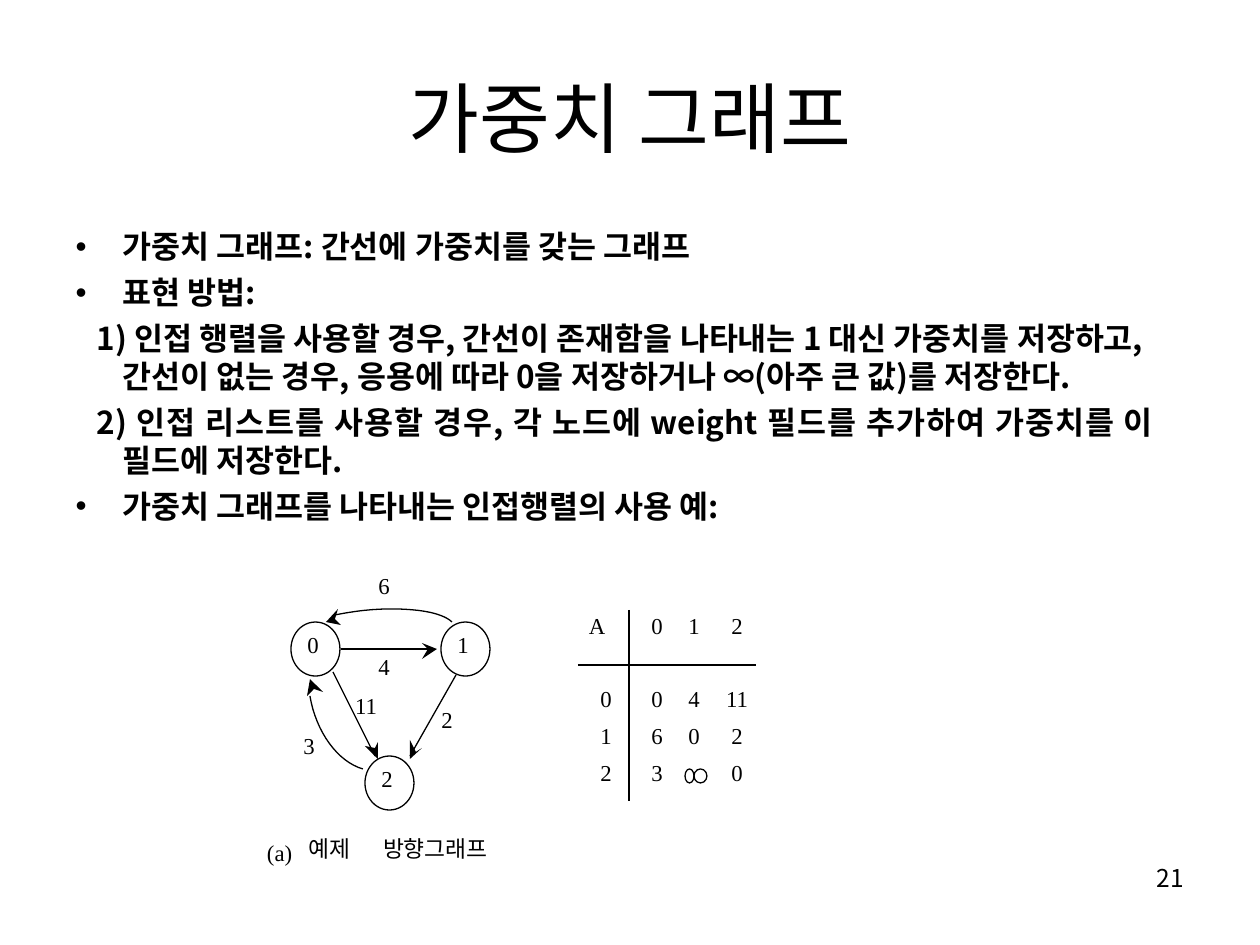
from lxml.etree import SubElement
from pptx import Presentation
from pptx.dml.color import RGBColor
from pptx.enum.shapes import MSO_CONNECTOR, MSO_SHAPE
from pptx.enum.text import MSO_ANCHOR, MSO_AUTO_SIZE, PP_ALIGN
from pptx.oxml.ns import qn
from pptx.util import Pt

SCALE = 914400 / 126
HUES = {"ink": "000000", "page": "FFFFFF"}
SANS, SERIF = "Noto Sans CJK KR", "Times New Roman"


def assign(item, form):
    for name, value in form.items():
        setattr(item, name, value)


def curve(start, *parts, steps=16):
    dots = [start]
    for one, two, end in parts:
        first = dots[-1]
        for step in range(1, steps + 1):
            t = step / steps
            u = 1 - t
            dots.append(tuple(
                u**3 * a + 3 * u * u * t * b + 3 * u * t * t * c + t**3 * d
                for a, b, c, d in zip(first, one, two, end)))
    return dots


class Sketch:
    """Draw the parts of one slide in a shared style, with lengths in px."""

    def __init__(self, deck):
        self.slide = deck.slides.add_slide(deck.slide_layouts[1])
        self.shapes = self.slide.shapes
        self.ink = RGBColor.from_string(HUES["ink"])
        back = self.slide.background.fill
        back.solid()
        back.fore_color.rgb = RGBColor.from_string(HUES["page"])

    def px(self, *sizes):
        return [round(size * SCALE) for size in sizes]

    def place(self, shape, *area):
        names = ("left", "top", "width", "height")
        assign(shape, dict(zip(names, self.px(*area))))

    def words(self, para, text, size, face, bold=False):
        run = para.add_run()
        run.text = text
        assign(run.font, {"size": Pt(size), "name": face, "bold": bold})
        run.font.color.rgb = self.ink
        SubElement(run.font._element, qn("a:ea"), typeface=face)

    def title(self, text, area):
        shape = self.shapes.title
        self.place(shape, *area)
        frame = shape.text_frame
        assign(frame, {"vertical_anchor": MSO_ANCHOR.MIDDLE,
                       "auto_size": MSO_AUTO_SIZE.NONE})
        frame.paragraphs[0].alignment = PP_ALIGN.CENTER
        self.words(frame.paragraphs[0], text, 44, SANS)

    def body(self, items, area):
        shape = self.slide.placeholders[1]
        self.place(shape, *area)
        frame = shape.text_frame
        frame.auto_size = MSO_AUTO_SIZE.NONE
        for rank, (dot, align, text) in enumerate(items):
            para = frame.add_paragraph() if rank else frame.paragraphs[0]
            assign(para, {"alignment": align, "line_spacing": Pt(21.7),
                          "space_before": Pt(4.5 if rank else 0)})
            props = para._p.get_or_add_pPr()
            left, hang = self.px(47, -47 if dot else -26)
            props.set("marL", str(left))
            props.set("indent", str(hang))
            if dot:
                SubElement(props, qn("a:buChar"), char="•")
            else:
                SubElement(props, qn("a:buNone"))
            self.words(para, text, 18, SANS, True)

    def label(self, text, area, align=PP_ALIGN.CENTER, size=13, face=SERIF):
        frame = self.shapes.add_textbox(*self.px(*area)).text_frame
        assign(frame, {"margin_left": 0, "margin_right": 0, "margin_top": 0,
                       "margin_bottom": 0, "word_wrap": False})
        frame.paragraphs[0].alignment = align
        self.words(frame.paragraphs[0], text, size, face)

    def mark(self, text, mid, top):
        self.label(text, (mid - 12, top, 24, 28))

    def trim(self, shape, solid=False):
        shape.shadow.inherit = False
        if solid:
            shape.fill.solid()
            shape.fill.fore_color.rgb = self.ink
            shape.line.fill.background()
        else:
            shape.fill.background()
            self.stroke(shape)

    def stroke(self, shape):
        shape.line.color.rgb = self.ink
        shape.line.width = Pt(0.75)

    def ring(self, *area):
        self.trim(self.shapes.add_shape(MSO_SHAPE.OVAL, *self.px(*area)))

    def line(self, *ends):
        link = self.shapes.add_connector(MSO_CONNECTOR.STRAIGHT, *self.px(*ends))
        self.stroke(link)
        SubElement(link._element.spPr, qn("a:effectLst"))

    def free(self, dots, solid=False):
        start, *rest = [self.px(*dot) for dot in dots]
        pen = self.shapes.build_freeform(*start)
        pen.add_line_segments(rest, close=solid)
        self.trim(pen.convert_to_shape(), solid)


def main():
    deck = Presentation()
    deck.slide_width, deck.slide_height = round(1260 * SCALE), round(945 * SCALE)
    art = Sketch(deck)
    left, full = PP_ALIGN.LEFT, PP_ALIGN.JUSTIFY

    art.title("가중치 그래프", (63, 38, 1134, 157))
    art.body([
        (True, left, "가중치 그래프: 간선에 가중치를 갖는 그래프"),
        (True, left, "표현 방법:"),
        (False, left, "1) 인접 행렬을 사용할 경우, 간선이 존재함을 나타내는 1 대신 "
         "가중치를 저장하고, 간선이 없는 경우, 응용에 따라 0을 저장하거나 "
         "∞(아주 큰 값)를 저장한다."),
        (False, full, "2) 인접 리스트를 사용할 경우, 각 노드에 weight 필드를 "
         "추가하여 가중치를 이 필드에 저장한다."),
        (True, full, "가중치 그래프를 나타내는 인접행렬의 사용 예:"),
    ], (63, 221, 1103, 624))
    art.label("21", (903, 863, 281, 40), PP_ALIGN.RIGHT, 14, SANS)

    for node, (x, y) in enumerate([(291, 622), (441, 622), (365, 756)]):
        art.ring(x, y, 49, 54)
        art.mark(str(node), x + 22, y + 9)

    for ends in [(341, 649, 435, 649), (333, 672, 375, 756), (456, 675, 410, 756)]:
        art.line(*ends)
    art.free(curve((335, 615), ((350, 612), (369, 609), (391, 609)),
                   ((416, 609), (441, 612), (452, 622))))
    art.free(curve((363, 769), ((338, 762), (316, 732), (310, 696))))
    for head in [
        [(422, 659), (437, 649), (422, 643), (428, 649)],
        [(365, 746), (378, 759), (378, 742), (375, 748)],
        [(410, 740), (410, 759), (422, 748), (416, 752)],
        [(338, 609), (326, 622), (341, 625), (335, 619)],
        [(323, 692), (310, 679), (307, 696), (314, 689)],
    ]:
        art.free(head, True)
    for cost, mid, top in [("6", 384, 572), ("4", 384, 653), ("3", 309, 732),
                           ("11", 366, 692), ("2", 447, 706)]:
        art.mark(cost, mid, top)

    cols = (657, 694, 737)
    art.mark("A", 597, 612)
    for node, mid in enumerate(cols):
        art.mark(str(node), mid, 612)
    for node, costs in enumerate([(0, 4, 11), (6, 0, 2), (3, None, 0)]):
        top = 685 + 37 * node
        art.mark(str(node), 606, top)
        for mid, cost in zip(cols, costs):
            if cost is not None:
                art.mark(str(cost), mid, top)
    art.ring(685, 769, 9, 14)
    art.ring(694, 769, 13, 14)
    art.line(629, 610, 629, 801)
    art.line(578, 665, 756, 665)

    art.label("(a)", (267, 839, 33, 28), left)
    art.label("예제", (309, 835, 42, 28), left, face=SANS)
    art.label("방향그래프", (383, 835, 105, 28), left, face=SANS)
    deck.save("out.pptx")


if __name__ == "__main__":
    main()
